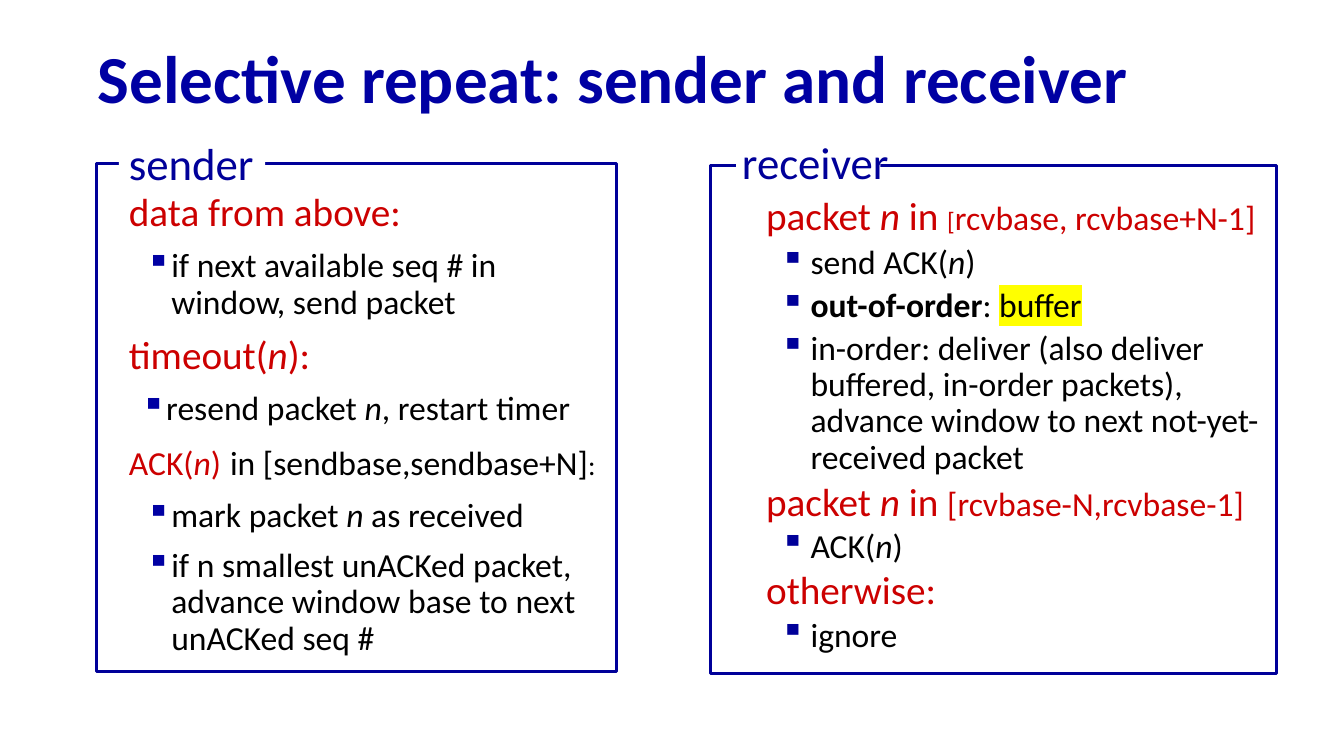
from dataclasses import dataclass

from lxml.etree import SubElement
from pptx import Presentation
from pptx.dml.color import RGBColor
from pptx.enum.shapes import MSO_SHAPE
from pptx.enum.text import MSO_ANCHOR, PP_ALIGN
from pptx.oxml.ns import qn
from pptx.util import Inches, Pt

WIDTH, HEIGHT = 13.33, 7.5


@dataclass(frozen=True)
class Theme:
    font: str = "Calibri"
    title: str = "0000A3"
    frame: str = "000099"
    event: str = "CC0000"
    body: str = "000000"
    paper: str = "FFFFFF"
    marker: str = "FFFF00"
    title_size: int = 48
    label_size: int = 32
    event_size: int = 28
    body_size: int = 24
    small_size: int = 20
    bracket_size: int = 18
    frame_width: float = 2.25


THEME = Theme()

# Run formats; a word between asterisks is italic.
EVENT = {"size": THEME.event_size, "color": THEME.event}
RANGE = {"size": THEME.body_size, "color": THEME.event}
BRACKET = {"size": THEME.bracket_size, "color": THEME.event}
BODY = {"size": THEME.body_size, "color": THEME.body}
SMALL = {"size": THEME.small_size, "color": THEME.body}
TITLE = {"size": THEME.title_size, "color": THEME.title, "bold": True}
LABEL = {"size": THEME.label_size, "color": THEME.frame}

# Paragraph formats; margin and indent are in inches, before in points.
PLAIN = {}
SENDER_EVENT = {"margin": 0.39, "indent": -0.24, "spacing": 0.9, "before": 10}
SENDER_STEP = {"margin": 0.57, "indent": -0.25, "spacing": 0.9, "before": 10,
               "bullet": THEME.title}
TIMER_STEP = {**SENDER_STEP, "margin": 0.52}
RECEIVER_EVENT = {"margin": 0.38, "indent": -0.38, "spacing": 0.85, "before": 5.6}
RECEIVER_STEP = {"margin": 0.44, "indent": -0.3, "spacing": 0.9, "before": 4.8,
                 "bullet": THEME.frame}
TIGHT_STEP = {**RECEIVER_STEP, "spacing": 0.85}

SENDER_TEXT = [
    (SENDER_EVENT, [("data from above:", EVENT)]),
    (SENDER_STEP, [("if next available seq # in window, send packet", BODY)]),
    (SENDER_EVENT, [("timeout(*n*):", EVENT)]),
    (TIMER_STEP, [("resend packet *n*, restart timer", BODY)]),
    (SENDER_EVENT, [("ACK(*n*)", RANGE), (" ", EVENT),
                    ("in [sendbase,sendbase+N]", BODY), (":", SMALL)]),
    (SENDER_STEP, [("mark packet *n* as received", BODY)]),
    (SENDER_STEP, [("if n smallest unACKed packet, advance window base "
                    "to next unACKed seq #", BODY)]),
]
RECEIVER_TEXT = [
    (RECEIVER_EVENT, [("packet *n* in ", EVENT), ("[", BRACKET),
                      ("rcvbase, rcvbase+N-1]", RANGE)]),
    (RECEIVER_STEP, [("send ACK(*n*)", BODY)]),
    (RECEIVER_STEP, [("out-of-order", {**BODY, "bold": True}), (": ", BODY),
                     ("buffer", {**BODY, "highlight": THEME.marker})]),
    (RECEIVER_STEP, [("in-order: deliver (also deliver buffered, in-order packets), "
                      "advance window to next not-yet-received packet", BODY)]),
    (RECEIVER_EVENT, [("packet* n *in ", EVENT), ("[rcvbase-N,rcvbase-1]", RANGE)]),
    (TIGHT_STEP, [("ACK(*n*)", BODY)]),
    (RECEIVER_EVENT, [("otherwise:", EVENT)]),
    (TIGHT_STEP, [("ignore", BODY)]),
]


def place(box):
    """Turn percent of the slide's width and height into lengths."""
    left, top, width, height = box
    return (Inches(left * WIDTH / 100), Inches(top * HEIGHT / 100),
            Inches(width * WIDTH / 100), Inches(height * HEIGHT / 100))


def inside(frame, offset):
    left, top, width, height = offset
    return frame[0] + left, frame[1] + top, width, height


def add_color(parent, tag, color):
    element = SubElement(parent, qn(tag))
    SubElement(element, qn("a:srgbClr")).set("val", color)
    return element


def add_spans(para, text, style):
    for number, piece in enumerate(text.split("*")):
        if not piece:
            continue
        span = para.add_run()
        span.text = piece
        formats = {"name": THEME.font, "size": Pt(style["size"]),
                   "bold": style.get("bold", False), "italic": number % 2 == 1}
        for name, value in formats.items():
            setattr(span.font, name, value)
        span.font.color.rgb = RGBColor.from_string(style["color"])
        if "highlight" in style:
            properties = span.font._element
            highlight = add_color(properties, "a:highlight", style["highlight"])
            properties.find(qn("a:solidFill")).addnext(highlight)


def format_paragraph(para, style, first):
    formats = {"alignment": PP_ALIGN.LEFT, "line_spacing": style.get("spacing", 1.0),
               "space_before": Pt(0 if first else style.get("before", 0))}
    for name, value in formats.items():
        setattr(para, name, value)
    properties = para._p.get_or_add_pPr()
    properties.set("marL", str(Inches(style.get("margin", 0))))
    properties.set("indent", str(Inches(style.get("indent", 0))))
    if "bullet" in style:
        add_color(properties, "a:buClr", style["bullet"])
        SubElement(properties, qn("a:buChar")).set("char", "▪")
    else:
        SubElement(properties, qn("a:buNone"))


def write(shape, paragraphs, wrap=True, anchor=MSO_ANCHOR.TOP):
    frame = shape.text_frame
    frame.word_wrap, frame.vertical_anchor = wrap, anchor
    for number, (style, spans) in enumerate(paragraphs):
        para = frame.add_paragraph() if number else frame.paragraphs[0]
        format_paragraph(para, style, number == 0)
        for text, span_style in spans:
            add_spans(para, text, span_style)


def add_rectangle(page, box, fill=None, line=None):
    shape = page.shapes.add_shape(MSO_SHAPE.RECTANGLE, *place(box))
    shape.shadow.inherit = False
    if fill:
        shape.fill.solid()
        shape.fill.fore_color.rgb = RGBColor.from_string(fill)
    else:
        shape.fill.background()
    if line:
        shape.line.color.rgb = RGBColor.from_string(line)
        shape.line.width = Pt(THEME.frame_width)
    else:
        shape.line.fill.background()
    return shape


def add_title(page, box, text):
    shape = page.shapes.add_textbox(*place(box))
    write(shape, [({"spacing": 0.9}, [(text, TITLE)])], anchor=MSO_ANCHOR.MIDDLE)


def add_panel(page, frame, text_box, paragraphs, label, label_box, gap=None):
    """Draw a frame whose top line is broken by its label, at the label or at a gap."""
    write(page.shapes.add_textbox(*place(inside(frame, text_box))), paragraphs)
    add_rectangle(page, frame, line=THEME.frame)
    label_place = inside(frame, label_box)
    if gap:
        add_rectangle(page, inside(frame, gap), fill=THEME.paper)
        holder = page.shapes.add_textbox(*place(label_place))
    else:
        holder = add_rectangle(page, label_place, fill=THEME.paper)
    write(holder, [(PLAIN, [(label, LABEL)])], wrap=False)


def main():
    deck = Presentation()
    deck.slide_width, deck.slide_height = Inches(WIDTH), Inches(HEIGHT)
    page = deck.slides.add_slide(deck.slide_layouts[6])
    add_title(page, (6.53, 4.27, 91.07, 13.07), "Selective repeat: sender and receiver")
    add_panel(page, (7.2, 21.6, 38.7, 67.2), (0.53, 3.2, 38.18, 67.73), SENDER_TEXT,
              "sender", (1.65, -4.27, 10.88, 8.53))
    add_panel(page, (52.89, 21.87, 42.09, 67.2), (3.38, 3.73, 39.91, 67.73), RECEIVER_TEXT,
              "receiver", (1.58, -4.67, 12.6, 8.53), gap=(1.88, -2.13, 10.73, 4.13))
    deck.save("out.pptx")


if __name__ == "__main__":
    main()
